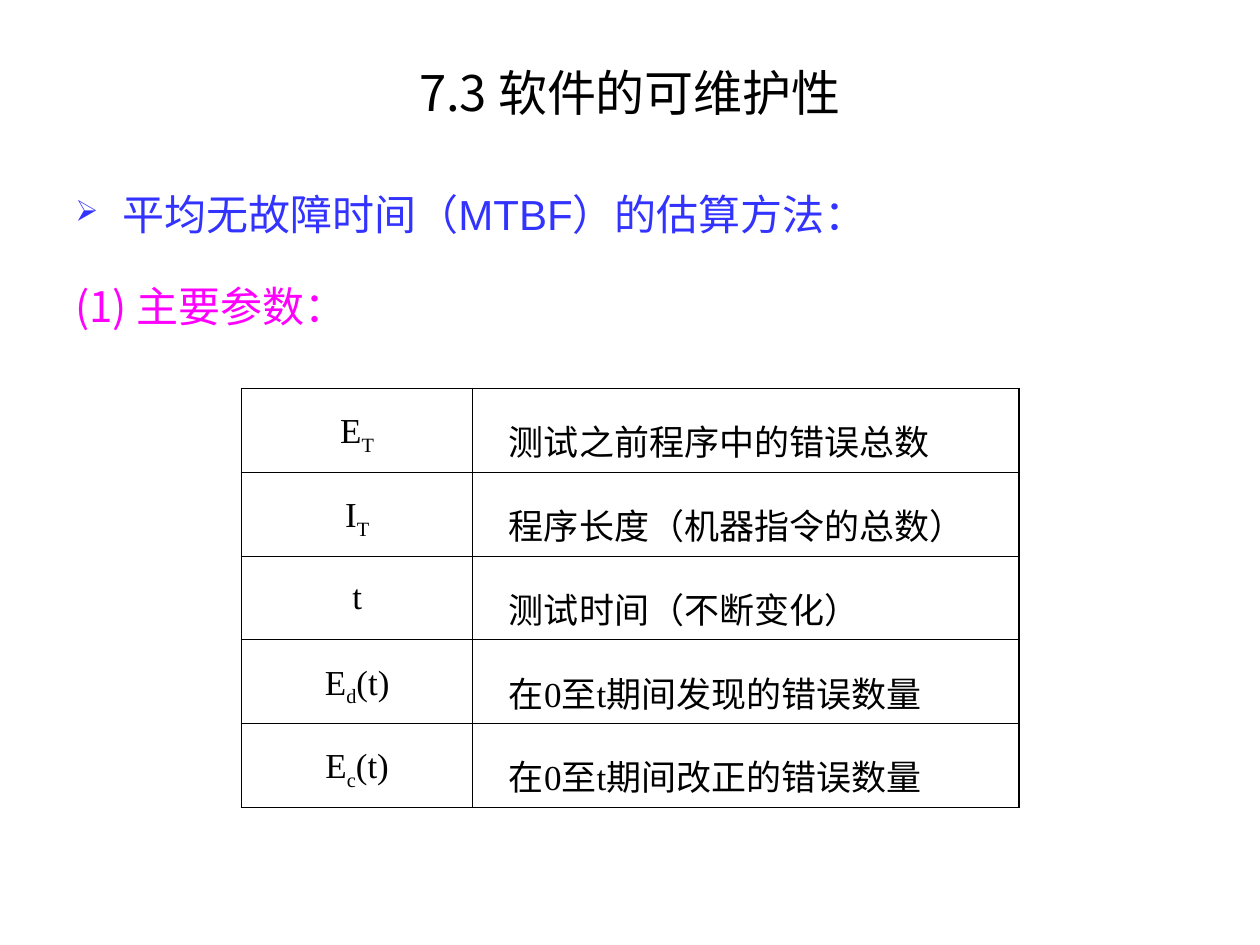
from lxml.etree import SubElement
from pptx import Presentation
from pptx.dml.color import RGBColor
from pptx.enum.text import MSO_ANCHOR as Anchor, PP_ALIGN as Align
from pptx.oxml.ns import qn
from pptx.util import Cm, Pt

COLORS = {"text": "000000", "heading": "3333FF", "step": "FF00FF", "background": "FFFFFF"}
CJK, LATIN, SERIF = "Noto Sans CJK SC", "Arial", "Times New Roman"
PARAMETERS = [
    (("E", "T", ""), "测试之前程序中的错误总数"),
    (("I", "T", ""), "程序长度（机器指令的总数）"),
    (("t", "", ""), "测试时间（不断变化）"),
    (("E", "d", "(t)"), "在0至t期间发现的错误数量"),
    (("E", "c", "(t)"), "在0至t期间改正的错误数量"),
]


def style(paragraph, size, name, color):
    """Set the font of a whole paragraph."""
    font = paragraph.font
    font.size, font.name = Pt(size), name
    font.color.rgb = RGBColor.from_string(COLORS[color])


def add_bullet(paragraph, character, color):
    """Give a paragraph a coloured bullet at 70 percent of the text size."""
    properties = paragraph._p.get_or_add_pPr()
    bullet_color = SubElement(properties, qn("a:buClr"))
    SubElement(bullet_color, qn("a:srgbClr"), val=COLORS[color])
    SubElement(properties, qn("a:buSzPct"), val="70000")
    SubElement(properties, qn("a:buChar"), char=character)


def add_border(cell, side, width):
    """Draw one solid border line of a cell."""
    line = SubElement(cell._tc.get_or_add_tcPr(), qn(f"a:ln{side}"), w=str(Pt(width)))
    fill = SubElement(line, qn("a:solidFill"))
    SubElement(fill, qn("a:srgbClr"), val=COLORS["text"])


def build_title(slide, left, top, width, height):
    """Place the slide title."""
    title = slide.shapes.title
    title.left, title.top, title.width, title.height = left, top, width, height
    title.fill.solid()
    title.fill.fore_color.rgb = RGBColor.from_string(COLORS["background"])
    title.text_frame.text = "7.3 软件的可维护性"
    title.text_frame.vertical_anchor = Anchor.MIDDLE
    paragraph = title.text_frame.paragraphs[0]
    paragraph.alignment = Align.CENTER
    style(paragraph, 28, CJK, "text")


def build_outline(slide, left, top, width, height):
    """Place the bulleted heading and the first numbered step."""
    frame = slide.shapes.add_textbox(left, top, width, height).text_frame
    frame.word_wrap = True
    frame.text = "平均无故障时间（MTBF）的估算方法：\n(1) 主要参数："
    heading, step = frame.paragraphs
    for paragraph in (heading, step):
        paragraph.line_spacing = 1.3
        paragraph.space_before = Pt(15)
        properties = paragraph._p.get_or_add_pPr()
        properties.set("marL", str(Cm(0.95)))
        properties.set("indent", str(-Cm(0.95)))
    add_bullet(heading, "➢", "heading")
    style(heading, 24, LATIN, "heading")
    style(step, 24, CJK, "step")


def fill_cell(cell, parts, alignment):
    """Write a base, a subscript and a suffix into a cell."""
    paragraph = cell.text_frame.paragraphs[0]
    paragraph.alignment, paragraph.line_spacing = alignment, 1.4
    style(paragraph, 20, SERIF, "text")
    for part, baseline in zip(parts, (0, -25000, 0)):
        if part:
            run = paragraph.add_run()
            run.text = part
            if baseline:
                run._r.get_or_add_rPr().set("baseline", str(baseline))


def build_parameters(slide, left, top, width, height):
    """Place the table of symbols and their meanings."""
    count = len(PARAMETERS)
    table = slide.shapes.add_table(count, 2, left, top, width, height).table
    table.first_row = table.horz_banding = False
    symbol_width = Cm(4.66)
    table.columns[0].width, table.columns[1].width = symbol_width, width - symbol_width
    for row, (symbol, meaning) in enumerate(PARAMETERS):
        symbol_cell, meaning_cell = table.cell(row, 0), table.cell(row, 1)
        fill_cell(symbol_cell, symbol, Align.CENTER)
        fill_cell(meaning_cell, (meaning,), Align.LEFT)
        meaning_cell.margin_left = Cm(0.73)
        for column, cell in enumerate((symbol_cell, meaning_cell)):
            outer = {"L": column == 0, "R": column == 1, "T": row == 0, "B": row == count - 1}
            for side, is_outer in outer.items():
                add_border(cell, side, 1.08 if is_outer else 0.45)
            cell.fill.background()


def main():
    """Build and save the slide."""
    presentation = Presentation()
    presentation.slide_width, presentation.slide_height = Cm(25.4), Cm(19.05)
    slide = presentation.slides.add_slide(presentation.slide_layouts.get_by_name("Title Only"))
    build_title(slide, Cm(1.27), Cm(0.76), Cm(22.86), Cm(2.2))
    build_outline(slide, Cm(1.27), Cm(3.38), Cm(22.86), Cm(4))
    build_parameters(slide, Cm(4.87), Cm(7.83), Cm(15.67), Cm(8.45))
    presentation.save("out.pptx")


if __name__ == "__main__":
    main()
